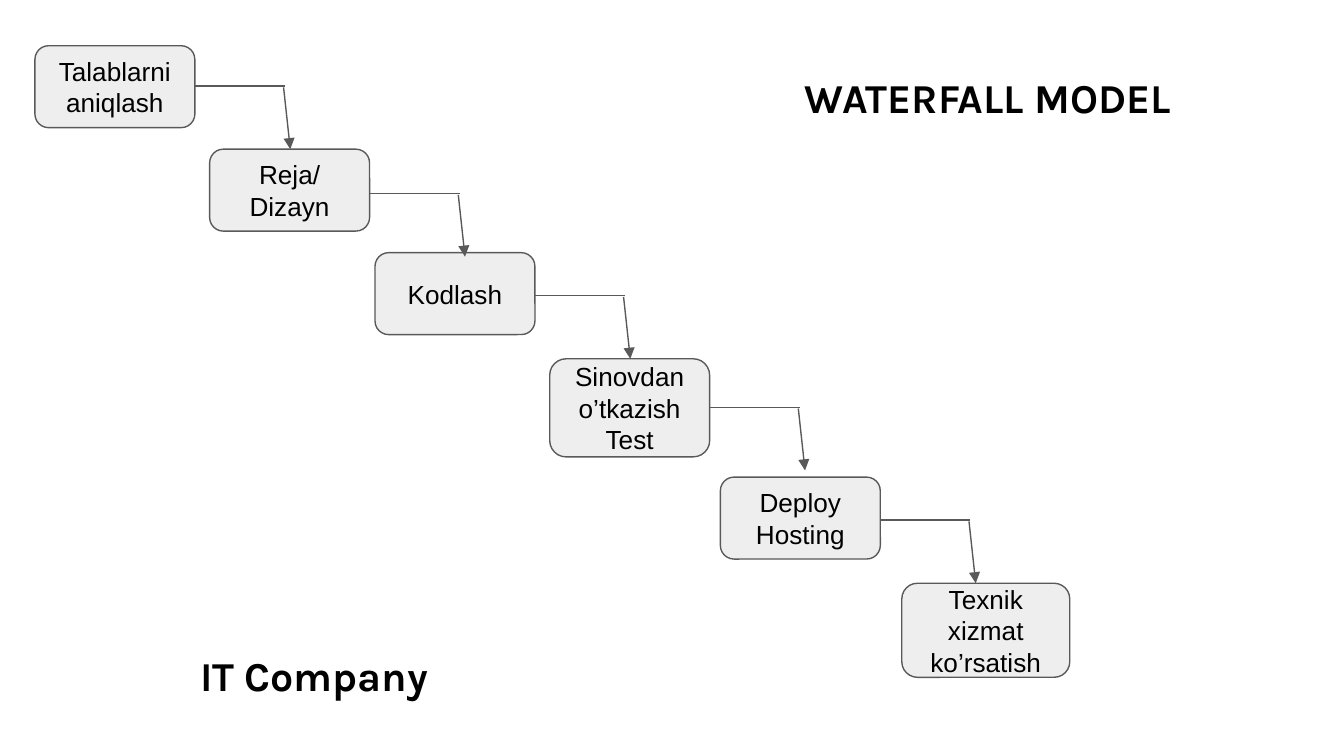
from lxml.etree import SubElement
from pptx import Presentation
from pptx.dml.color import RGBColor
from pptx.enum.shapes import MSO_CONNECTOR, MSO_SHAPE
from pptx.enum.text import MSO_ANCHOR, PP_ALIGN
from pptx.oxml.ns import qn
from pptx.util import Inches, Pt

BLACK = RGBColor(0x00, 0x00, 0x00)
WHITE = RGBColor(0xFF, 0xFF, 0xFF)
GRAY = RGBColor(0x59, 0x59, 0x59)
LIGHT = RGBColor(0xEE, 0xEE, 0xEE)

# Paragraphs, box (left, top, width, height), height of the exit arrow
STEPS = [
    (["Talablarni aniqlash"], (0.26, 0.34, 1.19, 0.61), 0.64),
    (["Reja/", "Dizayn"], (1.56, 1.11, 1.19, 0.61), 1.44),
    (["Kodlash"], (2.79, 1.88, 1.19, 0.61), 2.2),
    (["Sinovdan o’tkazish Test"], (4.09, 2.67, 1.19, 0.73), 3.03),
    (["Deploy", "Hosting"], (5.36, 3.55, 1.19, 0.61), 3.87),
    (["Texnik xizmat ko’rsatish"], (6.71, 4.34, 1.25, 0.7), None),
]


def write(frame, lines, size, font, bold=False, align=PP_ALIGN.LEFT):
    frame.word_wrap = True
    frame.margin_left = frame.margin_right = Inches(0.1)
    frame.margin_top = frame.margin_bottom = Inches(0.1)
    for i, line in enumerate(lines):
        para = frame.add_paragraph() if i else frame.paragraphs[0]
        para.alignment = align
        run = para.add_run()
        run.text = line
        run.font.size = Pt(size)
        run.font.name = font
        run.font.bold = bold
        run.font.color.rgb = BLACK


def add_title(slide, text, box):
    label = slide.shapes.add_textbox(*map(Inches, box))
    write(label.text_frame, [text], 22, "Karla", bold=True)


def add_step(slide, lines, box):
    step = slide.shapes.add_shape(MSO_SHAPE.ROUNDED_RECTANGLE, *map(Inches, box))
    step.shadow.inherit = False
    step.fill.solid()
    step.fill.fore_color.rgb = LIGHT
    step.line.color.rgb = GRAY
    step.line.width = Pt(0.75)
    step.text_frame.vertical_anchor = MSO_ANCHOR.MIDDLE
    write(step.text_frame, lines, 14, "Arial", align=PP_ALIGN.CENTER)


def add_line(slide, start, end, arrow=False):
    line = slide.shapes.add_connector(
        MSO_CONNECTOR.STRAIGHT, *map(Inches, (*start, *end)))
    line.line.color.rgb = GRAY
    line.line.width = Pt(0.75)
    props = line._element.spPr
    if arrow:
        SubElement(props.find(qn("a:ln")), qn("a:tailEnd"), type="triangle")
    SubElement(props, qn("a:effectLst"))


def add_link(slide, box, y):
    # Level part from the right edge, then a slanted drop
    right = box[0] + box[2]
    add_line(slide, (right, y), (right + 0.67, y))
    add_line(slide, (right + 0.66, y + 0.01), (right + 0.71, y + 0.47), arrow=True)


def add_flow(slide):
    for lines, box, _ in STEPS:
        add_step(slide, lines, box)
    for _, box, y in STEPS[:-1]:
        add_link(slide, box, y)


def main():
    deck = Presentation()
    deck.slide_width = Inches(10)
    deck.slide_height = deck.slide_width * 9 // 16
    slide = deck.slides.add_slide(deck.slide_layouts[6])
    slide.background.fill.solid()
    slide.background.fill.fore_color.rgb = WHITE
    add_title(slide, "WATERFALL MODEL", (5.89, 0.44, 3.12, 0.45))
    add_flow(slide)
    add_title(slide, "IT Company", (1.39, 4.74, 3.12, 0.45))
    deck.save("out.pptx")


if __name__ == "__main__":
    main()
